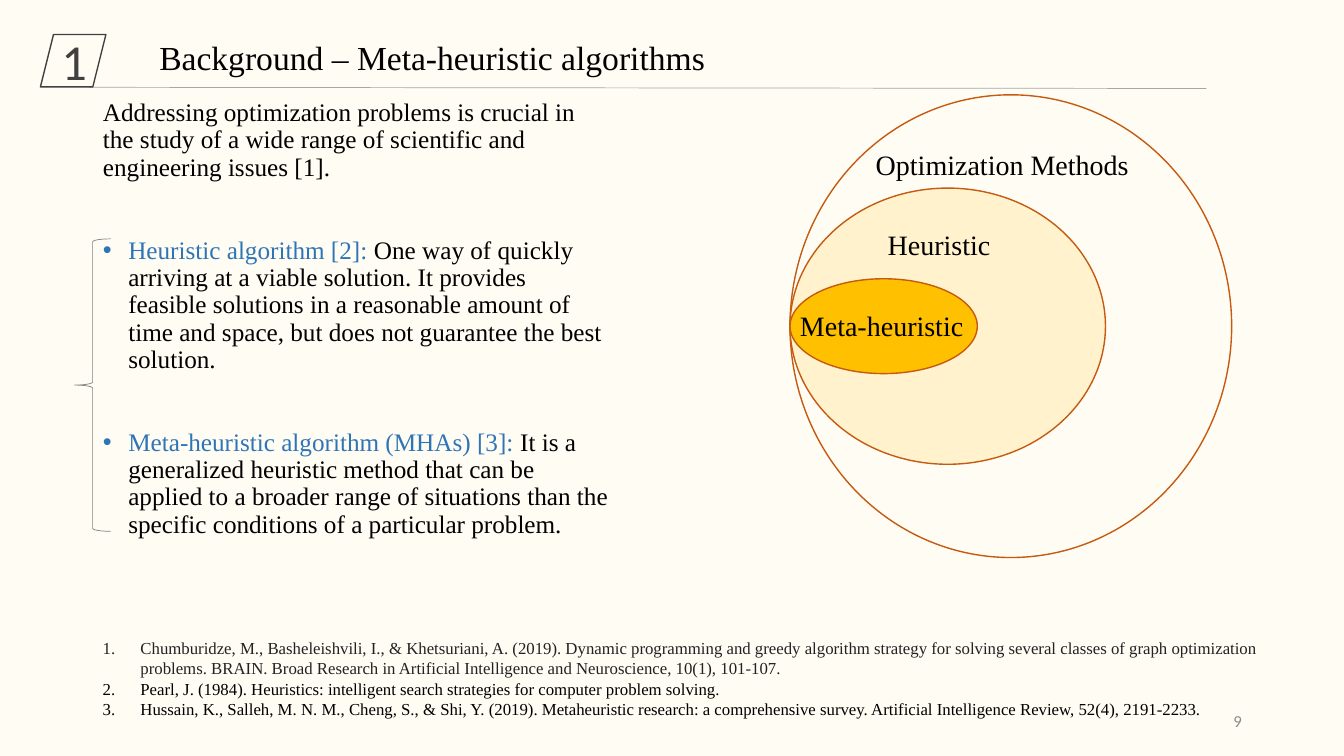
import pptx
import pptx.util
import pptx.dml.color
import pptx.enum.shapes
import pptx.enum.text
import pptx.oxml
import pptx.oxml.ns

Cm, Pt = pptx.util.Cm, pptx.util.Pt
Kind = pptx.enum.shapes.MSO_SHAPE
Align = pptx.enum.text.PP_ALIGN
Anchor = pptx.enum.text.MSO_ANCHOR
Fit = pptx.enum.text.MSO_AUTO_SIZE

HUES = {
    "page": "FFFCF4", "ink": "000000", "term": "2E75B6", "cite": "222222",
    "ring": "C55A11", "cream": "FFF2CC", "gold": "FFC000", "brace": "808080",
    "rule": "A6A6A6", "badge": "404040", "page_no": "8C8C8C",
}
SERIF, SANS = "Times New Roman", "Calibri"

INTRO = ("Addressing optimization problems is crucial in the study of a wide "
         "range of scientific and engineering issues [1].")
TERMS = [
    ("Heuristic algorithm [2]: ",
     "One way of quickly arriving at a viable solution. It provides feasible "
     "solutions in a reasonable amount of time and space, but does not "
     "guarantee the best solution."),
    ("Meta-heuristic algorithm (MHAs) [3]: ",
     "It is a generalized heuristic method that can be applied to a broader "
     "range of situations than the specific conditions of a particular problem."),
]
CITES = [
    ("Chumburidze, M., Basheleishvili, I., & Khetsuriani, A. (2019). Dynamic "
     "programming and greedy algorithm strategy for solving several classes of "
     "graph optimization problems. BRAIN. Broad Research in Artificial "
     "Intelligence and Neuroscience, 10(1), 101-107.", "cite"),
    ("Pearl, J. (1984). Heuristics: intelligent search strategies for computer "
     "problem solving.", "ink"),
    ("Hussain, K., Salleh, M. N. M., Cheng, S., & Shi, Y. (2019). Metaheuristic "
     "research: a comprehensive survey. Artificial Intelligence Review, 52(4), "
     "2191-2233.", "ink"),
]
# label, width, height, fill, label indent
RINGS = [
    ("Optimization Methods", 11.13, 11.66, None, 1.91),
    ("Heuristic", 7.95, 6.96, "cream", 2.21),
    ("Meta-heuristic", 4.72, 2.39, "gold", 0),
]


def rgb(name):
    return pptx.dml.color.RGBColor.from_string(HUES[name])


def style(item, **values):
    for key, value in values.items():
        setattr(item, key, value)


def place(shape, x, y, w, h):
    style(shape, left=Cm(x), top=Cm(y), width=Cm(w), height=Cm(h))


def write(para, text, size, hue="ink", face=SERIF):
    run = para.add_run()
    run.text = text
    style(run.font, size=Pt(size), name=face, bold=False)
    run.font.color.rgb = rgb(hue)


def mark(para, tag, hang=0, **attrs):
    """Give a paragraph a bullet element and a hanging indent in cm."""
    props = para._p.get_or_add_pPr()
    props.set("marL", str(Cm(hang)))
    props.set("indent", str(-Cm(hang)))
    bullet = pptx.oxml.parse_xml(f"<a:{tag} {pptx.oxml.ns.nsdecls('a')}/>")
    for key, value in attrs.items():
        bullet.set(key, value)
    props.append(bullet)


def label(slide, x, y, w, h, text, size, hue="ink", face=SERIF):
    box = slide.shapes.add_textbox(Cm(x), Cm(y), Cm(w), Cm(h))
    box.text_frame.word_wrap = True
    write(box.text_frame.paragraphs[0], text, size, hue, face)
    return box


def draw(slide, kind, x, y, w, h, line, width, fill=None):
    shape = slide.shapes.add_shape(kind, Cm(x), Cm(y), Cm(w), Cm(h))
    shape.shadow.inherit = False
    shape.line.color.rgb = rgb(line)
    shape.line.width = Pt(width)
    if fill:
        shape.fill.solid()
        shape.fill.fore_color.rgb = rgb(fill)
    else:
        shape.fill.background()
    return shape


def header(slide, x, y, w, h):
    rule = slide.shapes.add_connector(
        pptx.enum.shapes.MSO_CONNECTOR.STRAIGHT,
        Cm(x + 1.22), Cm(y + h), Cm(x + w), Cm(y + h + 0.03))
    rule.line.color.rgb = rgb("rule")
    rule.line.width = Pt(0.5)
    rule._element.spPr.append(
        pptx.oxml.parse_xml(f"<a:effectLst {pptx.oxml.ns.nsdecls('a')}/>"))

    badge = draw(slide, Kind.PARALLELOGRAM, x, y, 1.65, 1.32, "badge", 1)
    frame = badge.text_frame
    frame.vertical_anchor = Anchor.MIDDLE
    frame.paragraphs[0].alignment = Align.CENTER
    write(frame.paragraphs[0], "1", 36, "badge", SANS)

    title = slide.shapes.title
    place(title, x + 2.74, y - 0.07, 18.06, 1.27)
    style(title.text_frame, auto_size=Fit.NONE, word_wrap=True,
          vertical_anchor=Anchor.TOP)
    para = title.text_frame.paragraphs[0]
    para.alignment = Align.LEFT
    write(para, "Background – Meta-heuristic algorithms", 24)


def outline(slide, x, y, w, h):
    """Fill the body with the intro and the two braced definitions."""
    body = slide.placeholders[1]
    place(body, x, y, w, h)
    frame = body.text_frame
    style(frame, auto_size=Fit.NONE, word_wrap=True, vertical_anchor=Anchor.TOP)
    para = frame.paragraphs[0]
    mark(para, "buNone")
    style(para, line_spacing=0.9, space_before=Pt(0))
    write(para, INTRO, 18)
    for term, text in TERMS:
        para = frame.add_paragraph()
        mark(para, "buChar", 0.64, char="•")
        style(para, line_spacing=0.9, space_before=Pt(40))
        write(para, term, 18, "term")
        write(para, text, 18)
    draw(slide, Kind.LEFT_BRACE, x - 0.46, y + 3.63, 0.91, 7.37, "brace", 0.5)


def nest(slide, x, y, w, h):
    """Draw the nested ellipses, which touch at the left, with their labels."""
    for _, wide, high, fill, _ in RINGS:
        draw(slide, Kind.OVAL, x, y + (h - high) / 2, wide, high, "ring", 1, fill)
    for row, (text, *_, dent) in enumerate(RINGS):
        label(slide, x + dent, y + 1.19 + 2.03 * row, w - dent, 1.12, text, 20)


def footer(slide, x, y, w, h):
    box = slide.shapes.add_textbox(Cm(x), Cm(y), Cm(w), Cm(h))
    frame = box.text_frame
    frame.word_wrap = True
    for row, (text, hue) in enumerate(CITES):
        para = frame.add_paragraph() if row else frame.paragraphs[0]
        mark(para, "buAutoNum", 0.95, type="arabicPeriod")
        write(para, text, 12, hue)
    page = label(slide, x + 21.59, y + 1.7, 7.62, 1.02, "9", 12, "page_no", SANS)
    page.text_frame.vertical_anchor = Anchor.MIDDLE
    page.text_frame.paragraphs[0].alignment = Align.RIGHT


def main():
    deck = pptx.Presentation()
    style(deck, slide_width=Cm(33.87), slide_height=Cm(19.05))
    slide = deck.slides.add_slide(deck.slide_layouts[1])
    slide.background.fill.solid()
    slide.background.fill.fore_color.rgb = rgb("page")
    header(slide, 1.02, 0.87, 29.38, 1.33)
    outline(slide, 2.34, 2.39, 13.31, 12.09)
    nest(slide, 19.91, 2.39, 11.13, 11.66)
    footer(slide, 2.34, 15.95, 29.72, 2.31)
    deck.save("out.pptx")


if __name__ == "__main__":
    main()
